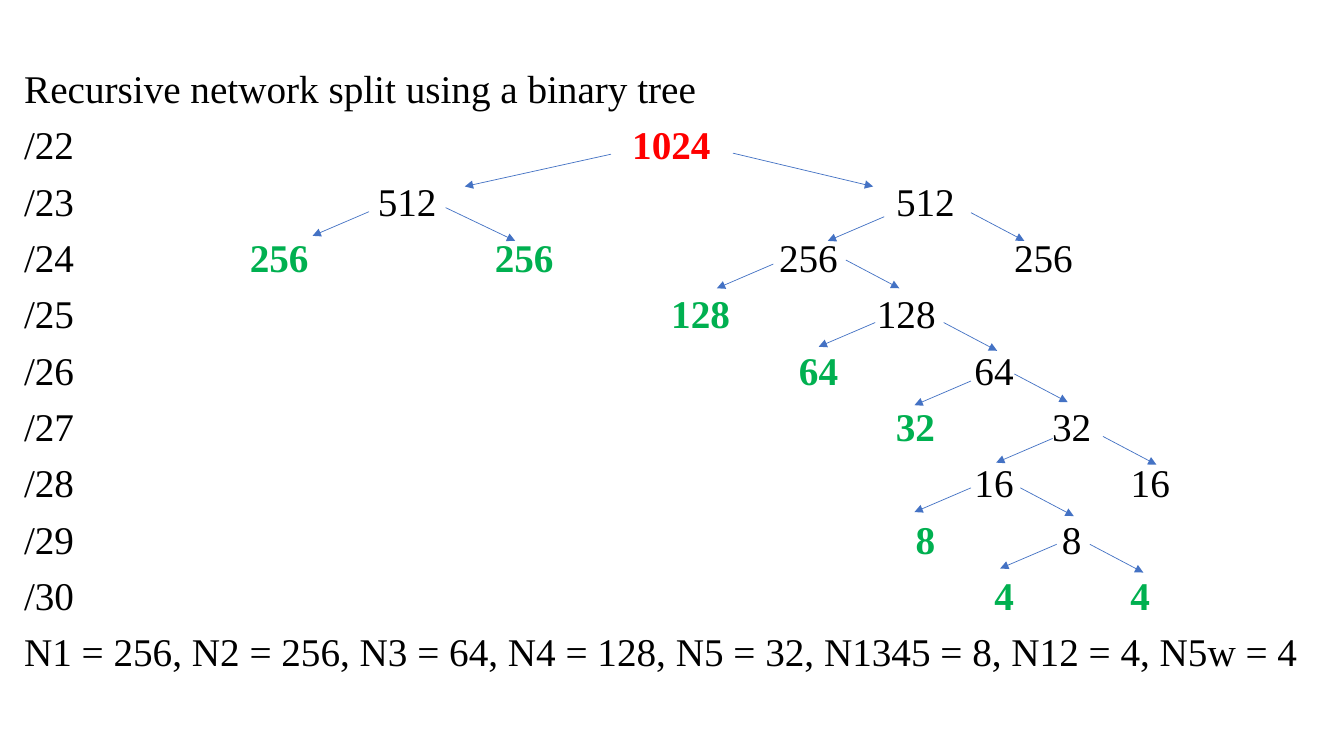
from dataclasses import dataclass

from lxml.etree import SubElement
from pptx import Presentation
from pptx.dml.color import RGBColor
from pptx.enum.shapes import MSO_CONNECTOR as Connector
from pptx.enum.text import MSO_ANCHOR as Anchor, MSO_AUTO_SIZE as AutoSize, PP_ALIGN as Align
from pptx.oxml.ns import qn
from pptx.util import Inches, Pt


@dataclass(frozen=True)
class Theme:
    font: str = "Times New Roman"
    size: int = 28
    text: str = "000000"
    root: str = "FF0000"
    assigned: str = "00B050"
    arrow: str = "4472C4"
    arrow_width: float = 0.5
    line_spacing: float = 0.9
    space_before: int = 10


THEME = Theme()

# Content: prefix, then (size, centre in inches, role) for each node
TITLE = "Recursive network split using a binary tree"
LEVELS = [
    ("/22", [("1024", 6.66, "root")]),
    ("/23", [("512", 4.04, "text"), ("512", 9.18, "text")]),
    ("/24", [("256", 2.77, "assigned"), ("256", 5.20, "assigned"),
             ("256", 8.02, "text"), ("256", 10.35, "text")]),
    ("/25", [("128", 6.95, "assigned"), ("128", 8.99, "text")]),
    ("/26", [("64", 8.12, "assigned"), ("64", 9.86, "text")]),
    ("/27", [("32", 9.08, "assigned"), ("32", 10.63, "text")]),
    ("/28", [("16", 9.86, "text"), ("16", 11.41, "text")]),
    ("/29", [("8", 9.18, "assigned"), ("8", 10.63, "text")]),
    ("/30", [("4", 9.96, "assigned"), ("4", 11.31, "assigned")]),
]
SUMMARY = "N1 = 256, N2 = 256, N3 = 64, N4 = 128, N5 = 32, N1345 = 8, N12 = 4, N5w = 4"

# Arrow starts, grouped by the step (dx, dy) from parent to child
ARROWS = {
    (-1.45, 0.32): [(6.06, 1.53)],
    (1.39, 0.33): [(7.27, 1.52)],
    (0.69, 0.33): [(4.42, 2.06)],
    (-0.56, 0.24): [(3.66, 2.10), (8.77, 2.15), (7.67, 2.62), (8.68, 3.20),
                    (9.63, 3.78), (10.44, 4.35), (9.63, 4.84), (10.48, 5.40)],
    (0.53, 0.28): [(9.63, 2.11), (8.39, 2.58), (9.36, 3.20), (10.06, 3.71),
                   (10.94, 4.33), (10.12, 4.84), (10.81, 5.40)],
}

# Layout
LEFT, TOP, WIDTH = 0.14, 0.64, 13.01
INSET = 0.1
ROW_PITCH = 0.56


def write(paragraph, text, color=THEME.text, bold=False):
    paragraph.alignment = Align.LEFT
    paragraph.line_spacing = THEME.line_spacing
    paragraph.space_before = Pt(THEME.space_before)
    run = paragraph.add_run()
    run.text = text
    run.font.name = THEME.font
    run.font.size = Pt(THEME.size)
    run.font.bold = bold
    run.font.color.rgb = RGBColor.from_string(color)


def prepare_frame(shape, top, height):
    shape.left, shape.top = Inches(LEFT), Inches(top)
    shape.width, shape.height = Inches(WIDTH), Inches(height)
    frame = shape.text_frame
    frame.word_wrap = True
    frame.auto_size = AutoSize.NONE
    frame.vertical_anchor = Anchor.TOP
    frame.margin_left = frame.margin_right = Inches(INSET)
    frame.margin_top = frame.margin_bottom = Inches(0.05)
    return frame


def add_centre_tabs(paragraph, centres):
    tabs = SubElement(paragraph._p.get_or_add_pPr(), qn("a:tabLst"))
    for centre in centres:
        position = Inches(centre - LEFT - INSET)
        SubElement(tabs, qn("a:tab"), pos=str(position), algn="ctr")


def add_arrow(slide, start, step):
    (x, y), (dx, dy) = start, step
    arrow = slide.shapes.add_connector(
        Connector.STRAIGHT, Inches(x), Inches(y), Inches(x + dx), Inches(y + dy))
    arrow.line.color.rgb = RGBColor.from_string(THEME.arrow)
    arrow.line.width = Pt(THEME.arrow_width)
    SubElement(arrow.line._get_or_add_ln(), qn("a:tailEnd"), type="triangle")
    SubElement(arrow._element.spPr, qn("a:effectLst"))


def main():
    presentation = Presentation()
    presentation.slide_width, presentation.slide_height = Inches(13.33), Inches(7.5)
    slide = presentation.slides.add_slide(presentation.slide_layouts[5])

    # Title
    title_frame = prepare_frame(slide.shapes.title, TOP, ROW_PITCH)
    write(title_frame.paragraphs[0], TITLE)

    # Tree levels, one paragraph each, with nodes on centred tab stops
    tree_top = TOP + ROW_PITCH
    tree_height = ROW_PITCH * (len(LEVELS) + 1)
    tree_box = slide.shapes.add_textbox(0, 0, 0, 0)
    tree_frame = prepare_frame(tree_box, tree_top, tree_height)
    paragraph = tree_frame.paragraphs[0]
    for prefix, nodes in LEVELS:
        write(paragraph, prefix)
        add_centre_tabs(paragraph, [centre for _, centre, _ in nodes])
        for size, _, role in nodes:
            write(paragraph, "\t" + size, color=getattr(THEME, role), bold=role != "text")
        paragraph = tree_frame.add_paragraph()

    # Summary of assigned networks
    write(paragraph, SUMMARY)

    # Arrows from parents to children
    for step, starts in ARROWS.items():
        for start in starts:
            add_arrow(slide, start, step)

    presentation.save("out.pptx")


if __name__ == "__main__":
    main()
